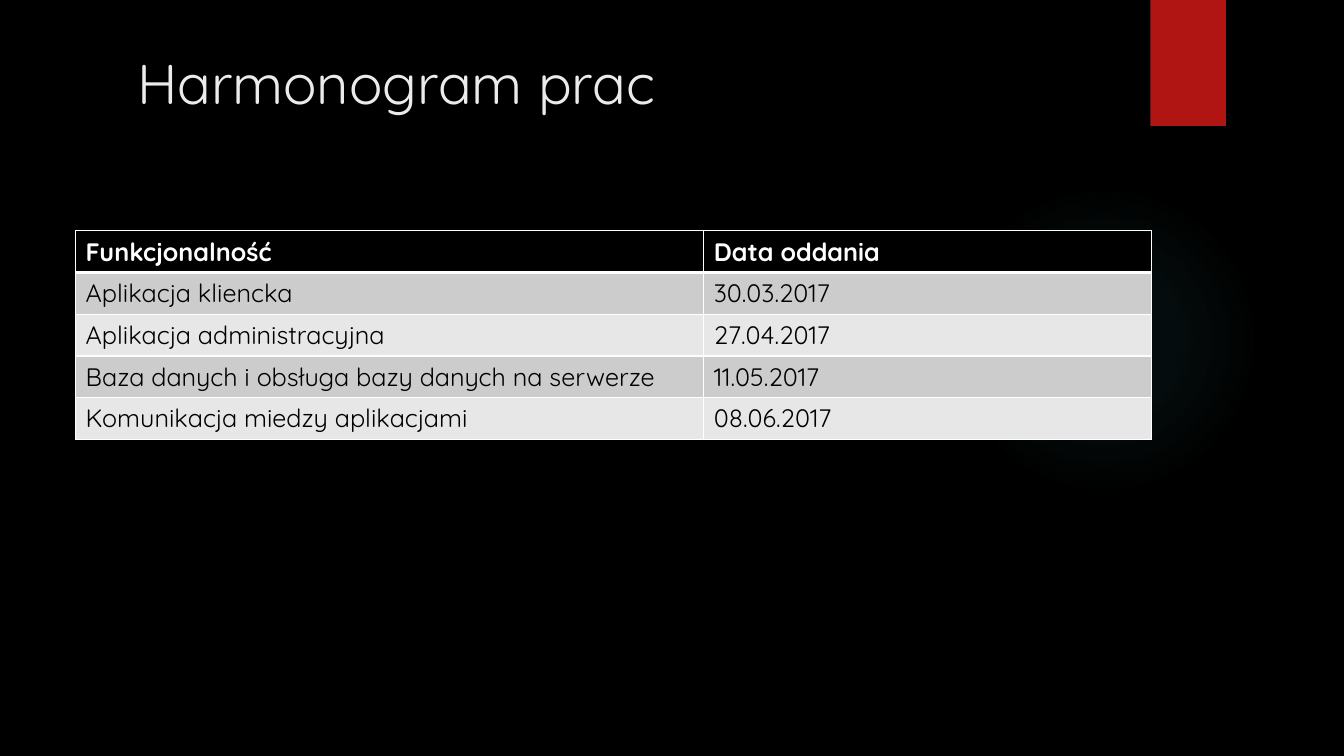
from lxml import etree
from pptx import Presentation
from pptx.dml.color import RGBColor
from pptx.enum.shapes import MSO_SHAPE as SHAPE
from pptx.enum.text import MSO_ANCHOR as ANCHOR, MSO_AUTO_SIZE as AUTO, PP_ALIGN as ALIGN
from pptx.oxml import parse_xml
from pptx.oxml.ns import nsdecls, qn
from pptx.util import Inches, Pt

# Content
TITLE = "Harmonogram prac"
ROWS = [
    ("Funkcjonalność", "Data oddania"),
    ("Aplikacja kliencka", "30.03.2017"),
    ("Aplikacja administracyjna", "27.04.2017"),
    ("Baza danych i obsługa bazy danych na serwerze", "11.05.2017"),
    ("Komunikacja miedzy aplikacjami", "08.06.2017"),
]
WIDTHS = (6.23, 4.44)
HEIGHT = 0.41
GLOW = [(0, 7), (36, 6), (69, 0)]  # stop %, opacity %

# Look
FONT = "Quicksand"
BLACK = RGBColor(0x00, 0x00, 0x00)
WHITE = RGBColor(0xFF, 0xFF, 0xFF)
PALE = RGBColor(0xEB, 0xEB, 0xEB)
RED = RGBColor(0xB0, 0x15, 0x13)
TEAL = RGBColor(0x50, 0xB9, 0xC1)
BANDS = (RGBColor(0xE7, 0xE7, 0xE7), RGBColor(0xCC, 0xCC, 0xCC))


def style(para, size, color, bold=False):
    para.alignment = ALIGN.LEFT
    look = {"name": FONT, "size": Pt(size), "bold": bold}
    for key, value in look.items():
        setattr(para.font, key, value)
    para.font.color.rgb = color


def add_shape(slide, kind, *box):
    shape = slide.shapes.add_shape(kind, *map(Inches, box))
    shape.shadow.inherit = False
    shape.line.fill.background()
    return shape


def add_glow(shape):
    stops = "".join(
        f'<a:gs pos="{pos * 1000}"><a:srgbClr val="{TEAL}">'
        f'<a:alpha val="{alpha * 1000}"/></a:srgbClr></a:gs>'
        for pos, alpha in GLOW
    )
    grad = parse_xml(
        f'<a:gradFill {nsdecls("a")}><a:gsLst>{stops}</a:gsLst><a:path path="circle">'
        '<a:fillToRect l="50000" t="50000" r="50000" b="50000"/></a:path></a:gradFill>'
    )
    shape.element.spPr.find(qn("a:prstGeom")).addnext(grad)


def add_border(cell, widths):
    props = cell._tc.get_or_add_tcPr()
    for spot, (side, width) in enumerate(widths.items()):
        line = etree.Element(qn(f"a:ln{side}"), w=str(Pt(width)))
        fill = etree.SubElement(line, qn("a:solidFill"))
        etree.SubElement(fill, qn("a:srgbClr"), val=str(WHITE))
        props.insert(spot, line)


def main():
    deck = Presentation()
    deck.slide_width, deck.slide_height = Inches(13.33), Inches(7.5)
    slide = deck.slides.add_slide(deck.slide_layouts[5])
    slide.background.fill.solid()
    slide.background.fill.fore_color.rgb = BLACK

    # Backdrop
    add_glow(add_shape(slide, SHAPE.OVAL, 9.41, 1.83, 3.08, 3.08))
    flag = add_shape(slide, SHAPE.RECTANGLE, 11.41, 0, 0.75, 1.25)
    flag.fill.solid()
    flag.fill.fore_color.rgb = RED

    # Title
    title = slide.shapes.title
    box = {"left": 1.26, "top": 0.36, "width": 9.65, "height": 0.84}
    for key, value in box.items():
        setattr(title, key, Inches(value))
    frame = title.text_frame
    frame.text = TITLE
    frame.auto_size = AUTO.NONE
    frame.vertical_anchor = ANCHOR.BOTTOM
    style(frame.paragraphs[0], 40, PALE)

    # Schedule table
    area = (0.75, 2.29, sum(WIDTHS), HEIGHT * len(ROWS))
    table = slide.shapes.add_table(len(ROWS), len(WIDTHS), *map(Inches, area)).table
    for col, width in zip(table.columns, WIDTHS):
        col.width = Inches(width)
    for r, row in enumerate(ROWS):
        table.rows[r].height = Inches(HEIGHT)
        head = r == 0
        for c, text in enumerate(row):
            cell = table.cell(r, c)
            cell.text = text
            style(cell.text_frame.paragraphs[0], 18, WHITE if head else BLACK, head)
            cell.fill.solid()
            cell.fill.fore_color.rgb = BLACK if head else BANDS[r % 2]
            add_border(cell, {"L": 1, "R": 1, "T": 3 if r == 1 else 1, "B": 3 if head else 1})

    deck.save("out.pptx")


if __name__ == "__main__":
    main()
